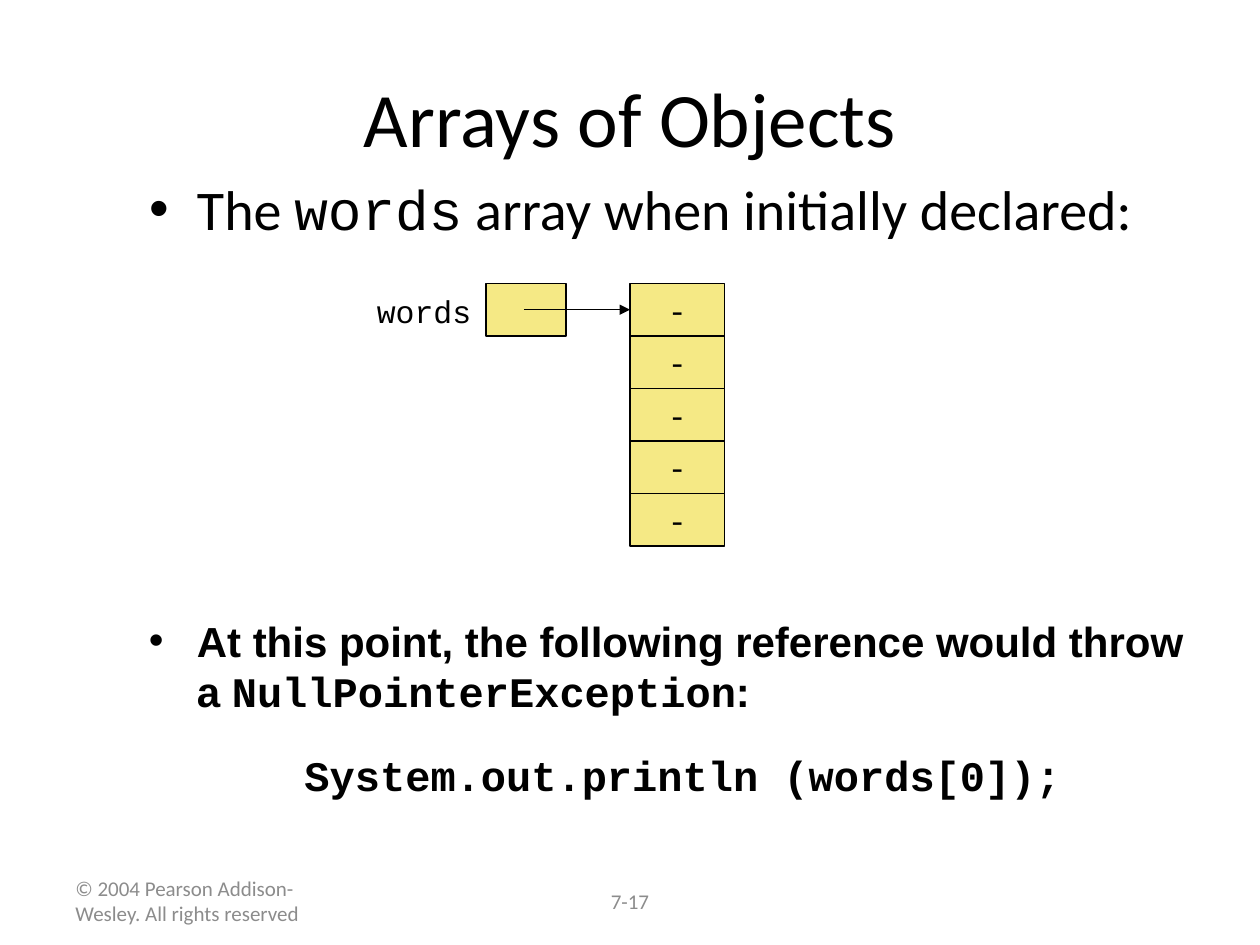
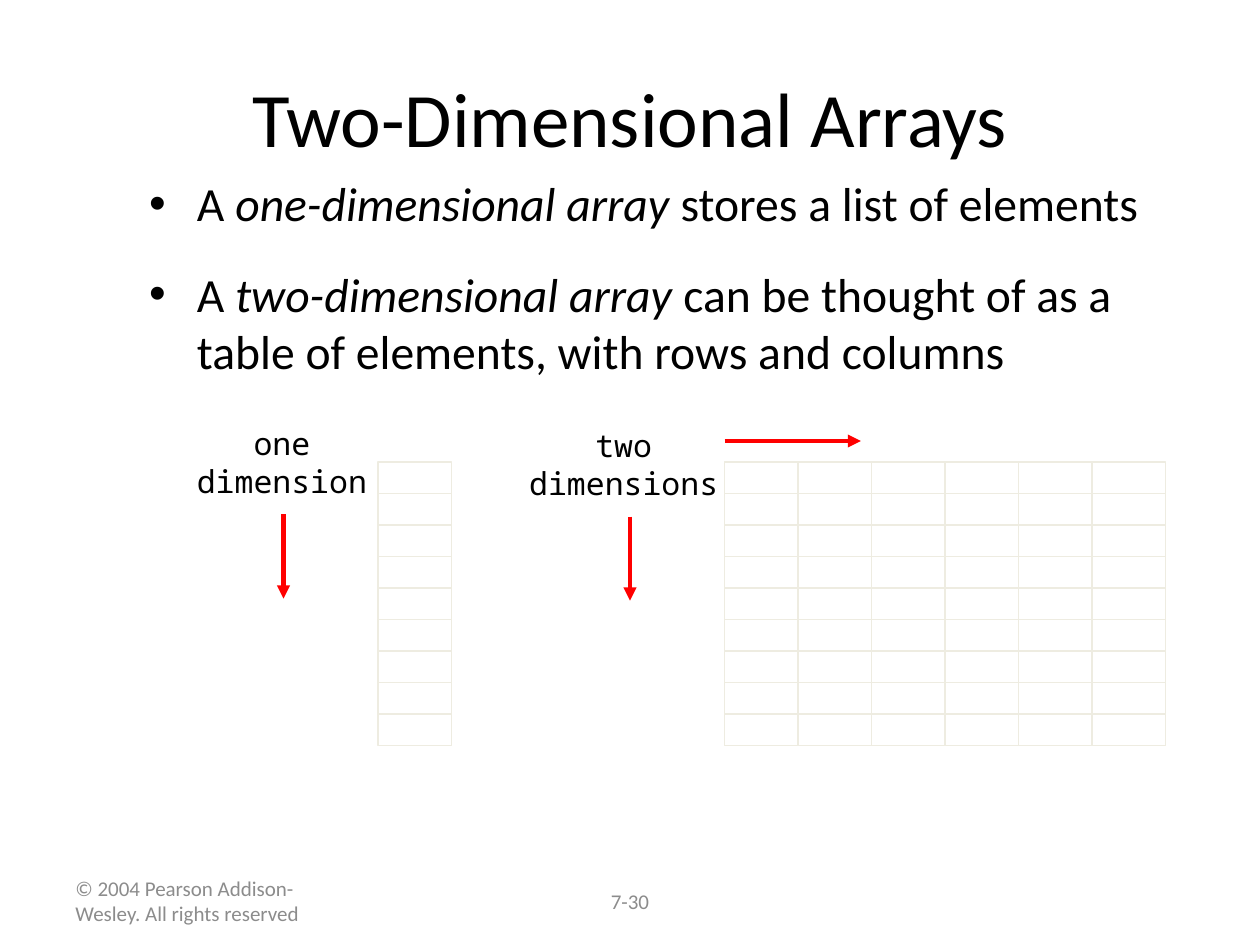
from dataclasses import dataclass
from typing import NamedTuple

from lxml import etree
from pptx import Presentation
from pptx.dml.color import RGBColor
from pptx.enum.shapes import MSO_CONNECTOR, MSO_SHAPE
from pptx.enum.text import MSO_ANCHOR, MSO_AUTO_SIZE, PP_ALIGN
from pptx.oxml.ns import qn
from pptx.util import Inches, Pt

LEFT, CENTER = PP_ALIGN.LEFT, PP_ALIGN.CENTER
MIDDLE, TOP = MSO_ANCHOR.MIDDLE, MSO_ANCHOR.TOP
RECTANGLE, STRAIGHT = MSO_SHAPE.RECTANGLE, MSO_CONNECTOR.STRAIGHT
NO_AUTOFIT = MSO_AUTO_SIZE.NONE

# The slide is divided into 120 columns and 90 rows
SLIDE_W, SLIDE_H = Inches(10), Inches(7.5)
COLUMN, ROW = SLIDE_W / 120, SLIDE_H / 90
BULLET_INDENT = Inches(0.38)


@dataclass(frozen=True)
class Theme:
    ink: RGBColor = RGBColor.from_string("000000")
    muted: RGBColor = RGBColor.from_string("8C8C8C")
    memory: RGBColor = RGBColor.from_string("F5E985")
    cell: RGBColor = RGBColor.from_string("FFFFFF")
    cell_line: RGBColor = RGBColor.from_string("EEECE1")
    direction: RGBColor = RGBColor.from_string("FF0000")
    heading_font: str = "Calibri"
    prose_font: str = "Arial"
    code_font: str = "Courier New"
    label_font: str = "Noto Sans Mono"
    title_size: float = 44
    lead_size: float = 32
    list_size: float = 27.2
    note_size: float = 24
    label_size: float = 18
    footer_size: float = 12
    paragraph_gap: float = 19


THEME = Theme()


class Area(NamedTuple):
    """Left, top, width and height in grid units."""
    col: float
    row: float
    cols: float
    rows: float

    def emu(self) -> tuple[int, int, int, int]:
        return (round(self.col * COLUMN), round(self.row * ROW),
                round(self.cols * COLUMN), round(self.rows * ROW))


class Point(NamedTuple):
    col: float
    row: float


class Style(NamedTuple):
    font: str
    size: float
    color: RGBColor = THEME.ink
    bold: bool = False


class Span(NamedTuple):
    text: str
    font: str | None = None
    italic: bool = False


class Para(NamedTuple):
    spans: list[Span]
    align: PP_ALIGN = LEFT
    bullet: bool = False
    indented: bool = False


class Outline(NamedTuple):
    color: RGBColor
    width: float


class Dimension(NamedTuple):
    words: list[str]
    label: Area
    down: Point
    first_col: float
    count: int


TITLE = Area(6, 3.6, 108, 15)
FOOTER = Area(6, 83.4, 28, 4.8)
PAGE = Area(41, 83.4, 38, 4.8)
COPYRIGHT = "© 2004 Pearson Addison-Wesley. All rights reserved"
FOOTER_STYLE = Style(THEME.heading_font, THEME.footer_size, THEME.muted)
TITLE_STYLE = Style(THEME.heading_font, THEME.title_size)
CODE_STYLE = Style(THEME.code_font, THEME.label_size)
LABEL_STYLE = Style(THEME.label_font, THEME.label_size)
MEMORY_LINE = Outline(THEME.ink, 0.75)
CELL_LINE = Outline(THEME.cell_line, 1)
DIRECTION_LINE = Outline(THEME.direction, 2.5)


# Text
def plain(text: str, align: PP_ALIGN = LEFT) -> Para:
    return Para([Span(text)], align)


def write(frame, paras: list[Para], style: Style, gap: float = 0,
          anchor: MSO_ANCHOR = TOP, wrap: bool = True) -> None:
    frame.word_wrap = wrap
    frame.auto_size = NO_AUTOFIT
    frame.vertical_anchor = anchor
    for index, para in enumerate(paras):
        paragraph = frame.paragraphs[0] if index == 0 else frame.add_paragraph()
        if para.bullet or para.indented:
            properties = paragraph._p.get_or_add_pPr()
            properties.set("marL", str(BULLET_INDENT))
            properties.set("indent", str(-BULLET_INDENT))
            if para.bullet:
                etree.SubElement(properties, qn("a:buFont"), typeface="Arial")
                etree.SubElement(properties, qn("a:buChar"), char="•")
        paragraph.alignment = para.align
        paragraph.space_before = Pt(gap if index else 0)
        font = paragraph.font
        font.name, font.size, font.bold = style.font, Pt(style.size), style.bold
        font.color.rgb = style.color
        for span in para.spans:
            run = paragraph.add_run()
            run.text = span.text
            if span.font:
                run.font.name = span.font
            if span.italic:
                run.font.italic = True


def add_text(shapes, area: Area, paras: list[Para], style: Style, gap: float = 0,
             anchor: MSO_ANCHOR = TOP, wrap: bool = True) -> None:
    write(shapes.add_textbox(*area.emu()).text_frame, paras, style, gap, anchor, wrap)


def place(placeholder, area: Area) -> None:
    (placeholder.left, placeholder.top,
     placeholder.width, placeholder.height) = area.emu()


# Diagram parts
def add_box(shapes, area: Area, fill: RGBColor, outline: Outline, text: str = "") -> None:
    box = shapes.add_shape(RECTANGLE, *area.emu())
    box.shadow.inherit = False
    box.fill.solid()
    box.fill.fore_color.rgb = fill
    box.line.color.rgb = outline.color
    box.line.width = Pt(outline.width)
    if text:
        write(box.text_frame, [plain(text, CENTER)], CODE_STYLE, anchor=MIDDLE, wrap=False)


def add_arrow(shapes, start: Point, end: Point, outline: Outline) -> None:
    arrow = shapes.add_connector(
        STRAIGHT, round(start.col * COLUMN), round(start.row * ROW),
        round(end.col * COLUMN), round(end.row * ROW))
    arrow.line.color.rgb = outline.color
    arrow.line.width = Pt(outline.width)
    etree.SubElement(arrow.line._get_or_add_ln(), qn("a:tailEnd"), type="triangle")
    etree.SubElement(arrow._element.spPr, qn("a:effectLst"))


def add_cell_column(shapes, col: float) -> None:
    """A frame of nine cells; every second cell is drawn over it."""
    top, width, height, count = 44, 7, 3, 9
    add_box(shapes, Area(col, top, width, height * count), THEME.cell, CELL_LINE)
    for cell in range(1, count, 2):
        add_box(shapes, Area(col, top + cell * height, width, height),
                THEME.cell, CELL_LINE)


def add_dimension(shapes, dimension: Dimension) -> None:
    for index in range(dimension.count):
        add_cell_column(shapes, dimension.first_col + 7 * index)
    add_text(shapes, dimension.label, [plain(word, CENTER) for word in dimension.words],
             LABEL_STYLE, wrap=False)
    start = dimension.down
    add_arrow(shapes, start, Point(start.col, start.row + 8), DIRECTION_LINE)


# Shared slide frame
def add_slide(deck, title: str, page: str, body_area: Area, body: list[Para],
              body_style: Style):
    slide = deck.slides.add_slide(deck.slide_layouts[1])
    add_text(slide.shapes, FOOTER, [plain(COPYRIGHT)], FOOTER_STYLE, anchor=MIDDLE)
    add_text(slide.shapes, PAGE, [plain(page, CENTER)], FOOTER_STYLE, anchor=MIDDLE)
    heading, content = slide.shapes.title, slide.placeholders[1]
    place(heading, TITLE)
    write(heading.text_frame, [plain(title, CENTER)], TITLE_STYLE, anchor=MIDDLE)
    place(content, body_area)
    write(content.text_frame, body, body_style, THEME.paragraph_gap)
    return slide


def build_objects_slide(deck) -> None:
    lead = Para([Span("The "), Span("words", THEME.code_font),
                 Span(" array when initially declared:")], bullet=True)
    slide = add_slide(deck, "Arrays of Objects", "7-17", Area(13, 16, 104, 8), [lead],
                      Style(THEME.heading_font, THEME.lead_size))

    # Reference variable pointing at five empty elements
    diagram = slide.shapes.add_group_shape().shapes
    add_box(diagram, Area(46.3, 27, 7.6, 5), THEME.memory, MEMORY_LINE)
    add_text(diagram, Area(34.7, 27.2, 11.4, 4.8), [plain("words")], CODE_STYLE, wrap=False)
    add_arrow(diagram, Point(49.9, 29.5), Point(60, 29.5), MEMORY_LINE)
    for element in range(5):
        add_box(diagram, Area(60, 27 + 5 * element, 9, 5), THEME.memory, MEMORY_LINE, "-")

    # Consequence
    warning = Para([Span("At this point, the following reference would throw a "),
                    Span("NullPointerException", THEME.code_font), Span(":")], bullet=True)
    statement = Para([Span("System.out.println (words[0]);", THEME.code_font)],
                     CENTER, indented=True)
    add_text(slide.shapes, Area(13, 58, 104, 22), [warning, statement],
             Style(THEME.prose_font, THEME.note_size, bold=True), THEME.paragraph_gap)


def build_dimensions_slide(deck) -> None:
    definitions = [
        Para([Span("A "), Span(term, italic=True), Span(meaning)], bullet=True)
        for term, meaning in (
            ("one-dimensional array", " stores a list of elements"),
            ("two-dimensional array",
             " can be thought of as a table of elements, with rows and columns"))]
    slide = add_slide(deck, "Two-Dimensional Arrays", "7-30", Area(13, 16, 104, 24.2),
                      definitions, Style(THEME.heading_font, THEME.list_size))

    # One column of cells beside six
    single = Dimension(["one", "dimension"], Area(17.5, 39.8, 18.7, 9.2),
                       Point(27, 49), 36, 1)
    double = Dimension(["two", "dimensions"], Area(49.2, 40, 20.4, 9.2),
                       Point(60, 49.2), 69, 6)
    add_dimension(slide.shapes.add_group_shape().shapes, single)
    table = slide.shapes.add_group_shape().shapes
    add_dimension(table, double)
    add_arrow(table, Point(69, 42), Point(82, 42), DIRECTION_LINE)


def main() -> None:
    deck = Presentation()
    deck.slide_width, deck.slide_height = SLIDE_W, SLIDE_H
    build_objects_slide(deck)
    build_dimensions_slide(deck)
    deck.save("out.pptx")


if __name__ == "__main__":
    main()
